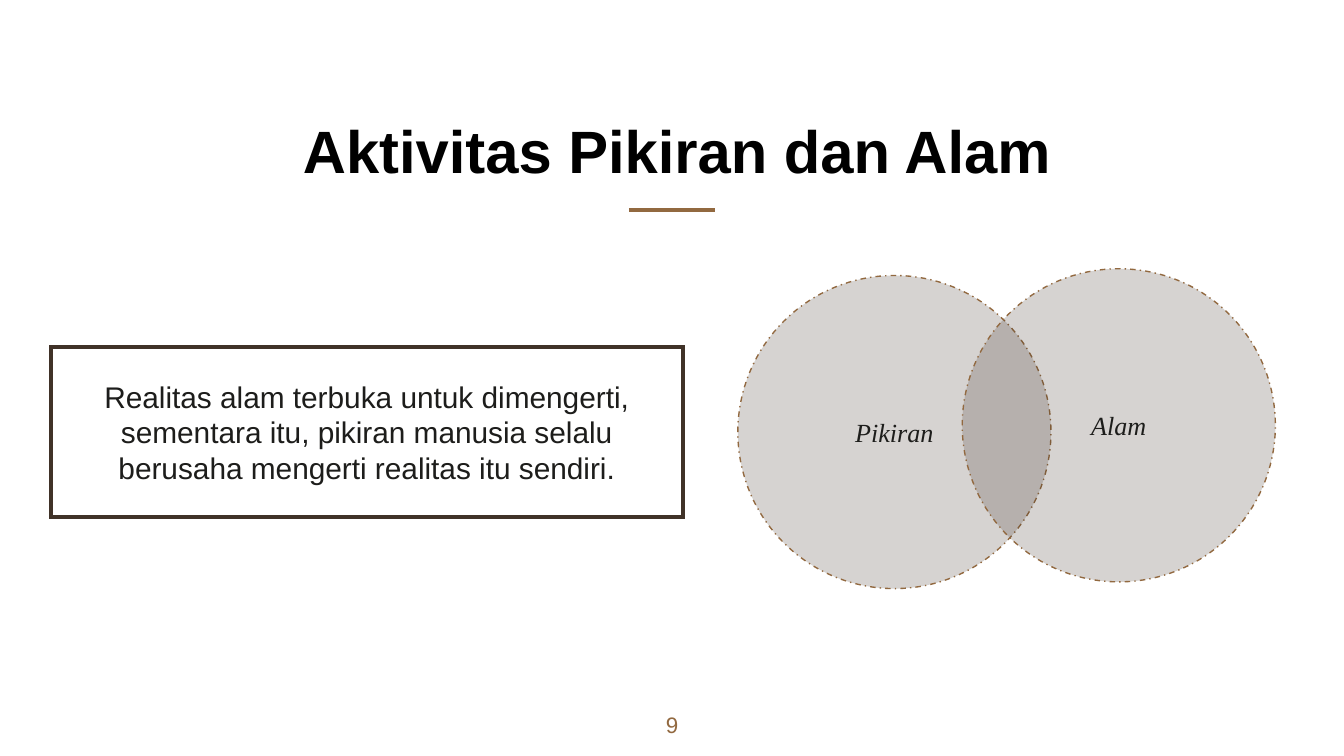
from pptx import Presentation
from pptx.dml.color import RGBColor
from pptx.enum.dml import MSO_LINE
from pptx.enum.shapes import MSO_CONNECTOR, MSO_SHAPE
from pptx.enum.text import MSO_ANCHOR, MSO_AUTO_SIZE, PP_ALIGN
from pptx.oxml.ns import qn
from pptx.util import Inches, Pt
from lxml.etree import SubElement

WIDTH = 10
HEIGHT = WIDTH * 9 / 16
COLORS = {
    "title": "000000",
    "accent": "926940",
    "dark": "403228",
    "text": "1D1D1B",
}
TITLE_FONT = {"name": "Arial", "size": Pt(32), "bold": True}
BODY_FONT = {"name": "Arial", "size": Pt(16), "bold": False}
LABEL_FONT = {"name": "Times New Roman", "size": Pt(14), "italic": True}
NUMBER_FONT = {"name": "Arial", "size": Pt(12)}


def color(name):
    return RGBColor.from_string(COLORS[name])


def place(shape, box):
    for side, length in zip(("left", "top", "width", "height"), box):
        setattr(shape, side, Inches(length))


def write(shape, text, font, tint, anchor=MSO_ANCHOR.MIDDLE):
    frame = shape.text_frame
    layout = {"word_wrap": True, "auto_size": MSO_AUTO_SIZE.NONE,
              "vertical_anchor": anchor}
    for side in ("left", "top", "right", "bottom"):
        layout[f"margin_{side}"] = Inches(0.1)
    for name, value in layout.items():
        setattr(frame, name, value)
    para = frame.paragraphs[0]
    para.alignment = PP_ALIGN.CENTER
    span = para.add_run()
    span.text = text
    for name, value in font.items():
        setattr(span.font, name, value)
    span.font.color.rgb = color(tint)


def outline(shape, tint, width, dash=None):
    shape.line.color.rgb = color(tint)
    shape.line.width = Pt(width)
    if dash:
        shape.line.dash_style = dash


def add_heading(page, box, text):
    title = page.shapes.title
    place(title, box)
    write(title, text, TITLE_FONT, "title", MSO_ANCHOR.BOTTOM)


def add_rule(page, center, top, length):
    rule = page.shapes.add_connector(
        MSO_CONNECTOR.STRAIGHT,
        Inches(center - length / 2), Inches(top),
        Inches(center + length / 2), Inches(top))
    outline(rule, "accent", 2.25)
    SubElement(rule.element.spPr, qn("a:effectLst"))


def add_statement(page, box, text):
    panel = page.shapes.add_shape(MSO_SHAPE.RECTANGLE, *map(Inches, box))
    panel.shadow.inherit = False
    panel.fill.background()
    outline(panel, "dark", 2.25)
    edge = panel.element.spPr.find(qn("a:ln"))
    SubElement(edge, qn("a:miter")).set("lim", "800000")
    write(panel, text, BODY_FONT, "text")


def add_venn(page, box, labels):
    left, top, width, height = box
    diameter = 2.33
    offsets = ((0, height - diameter), (width - diameter, 0))
    for label, (across, down) in zip(labels, offsets):
        circle = page.shapes.add_shape(
            MSO_SHAPE.OVAL, Inches(left + across), Inches(top + down),
            Inches(diameter), Inches(diameter))
        circle.shadow.inherit = False
        circle.fill.solid()
        circle.fill.fore_color.rgb = color("dark")
        tint = circle.element.spPr.find(qn("a:solidFill"))[0]
        SubElement(tint, qn("a:alpha")).set("val", "21000")
        outline(circle, "accent", 0.75, MSO_LINE.DASH_DOT)
        write(circle, label, LABEL_FONT, "text")


def add_page_number(page, box, number):
    footer = page.shapes.add_textbox(*map(Inches, box))
    write(footer, number, NUMBER_FONT, "accent", MSO_ANCHOR.TOP)


def main():
    deck = Presentation()
    deck.slide_width, deck.slide_height = Inches(WIDTH), Inches(HEIGHT)
    page = deck.slides.add_slide(deck.slide_layouts[5])
    add_rule(page, WIDTH / 2, 1.56, 0.64)
    add_heading(page, (0.75, 0.54, 8.58, 0.94), "Aktivitas Pikiran dan Alam")
    add_page_number(page, (WIDTH / 2 - 0.3, HEIGHT - 0.43, 0.6, 0.43), "9")
    add_venn(page, (5.49, 2, 4, 2.38), ("Pikiran", "Alam"))
    add_statement(
        page, (0.38, 2.58, 4.7, 1.27),
        "Realitas alam terbuka untuk dimengerti, sementara itu, "
        "pikiran manusia selalu berusaha mengerti realitas itu sendiri.")
    deck.save("out.pptx")


if __name__ == "__main__":
    main()
